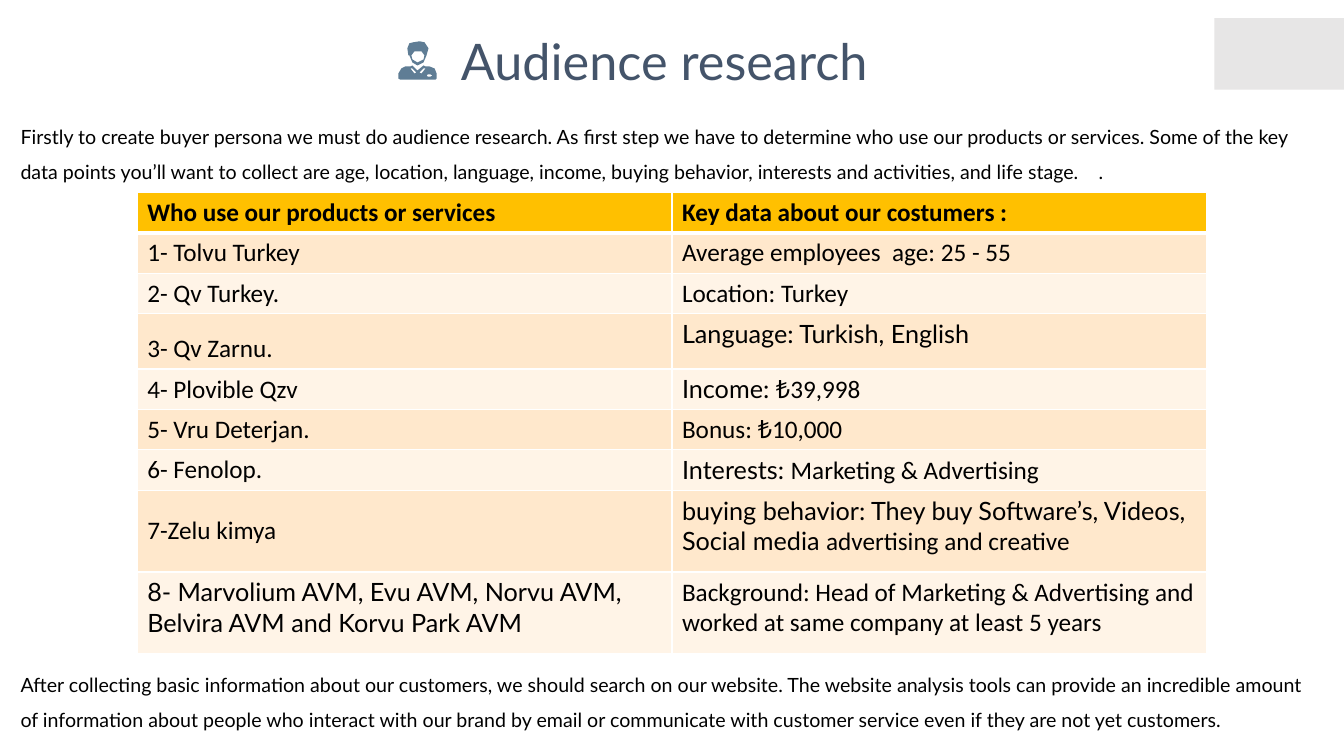
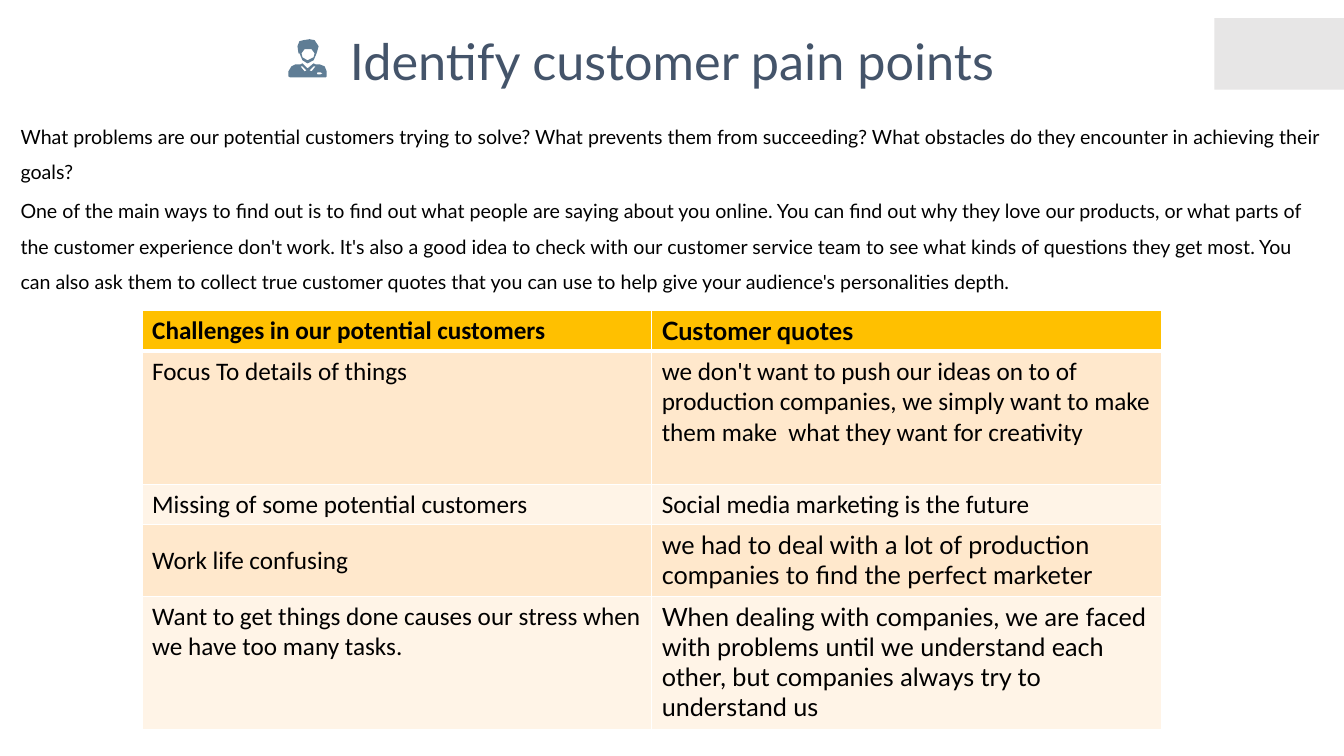
from typing import NamedTuple

from lxml import etree
from pptx import Presentation
from pptx import util as u
from pptx.dml.color import RGBColor
from pptx.enum import shapes, text
from pptx.oxml import ns

SLATE = RGBColor(0x44, 0x54, 0x6A)
STEEL = RGBColor(0x5F, 0x7D, 0x95)
GREY = RGBColor(0xE7, 0xE6, 0xE6)
BLACK = RGBColor(0x00, 0x00, 0x00)
GOLD = RGBColor(0xFF, 0xC0, 0x00)
PEACH = RGBColor(0xFF, 0xE8, 0xCC)
CREAM = RGBColor(0xFF, 0xF4, 0xE7)
BORDER = "FFFFFF"

LATO = "Lato"
CALIBRI = "Calibri"

HEAD_OUTLINES = [
    [(21, 0), (15, 1), (11, 2), (9, 7), (10, 14), (11, 14), (14, 21), (19, 24),
     (25, 21), (28, 14), (30, 7), (26, 1)],
    [(23, 10), (26, 14), (25, 18), (19, 21), (14, 18), (13, 14), (16, 10)],
]
BODY_OUTLINES = [
    [(14, 24), (12, 25), (7, 25), (3, 27), (0, 32), (0, 37), (2, 38), (37, 38),
     (38, 37), (38, 32), (36, 27), (31, 25), (27, 25), (25, 24), (19, 29)],
    [(14, 27), (18, 31), (16, 32), (12, 27)],
    [(25, 27), (27, 27), (23, 32), (21, 31)],
    [(29, 33), (32, 33), (34, 34), (32, 35), (29, 35), (28, 34)],
]


class Cell(NamedTuple):
    """Text runs of one table cell, each a pair of text and font."""
    runs: list
    spacing: float = 1.0
    anchor: text.MSO_ANCHOR = text.MSO_ANCHOR.TOP


def calibri(words, **layout):
    """Return a cell set in Calibri."""
    return Cell([(words, CALIBRI)], **layout)


def lato(words, **layout):
    """Return a cell set in Lato."""
    return Cell([(words, LATO)], **layout)


def add_run(paragraph, words, font, size, color, bold=False):
    """Add one formatted run to a paragraph."""
    run = paragraph.add_run()
    run.text = words
    run.font.name = font
    run.font.size = u.Pt(size)
    run.font.bold = bold
    run.font.color.rgb = color


def add_text_box(slide, box, inset_x, inset_y, wrap):
    """Add an empty text box and return its text frame."""
    shape = slide.shapes.add_textbox(*map(u.Pt, box))
    frame = shape.text_frame
    frame.margin_left = frame.margin_right = u.Pt(inset_x)
    frame.margin_top = frame.margin_bottom = u.Pt(inset_y)
    frame.word_wrap = wrap
    frame.auto_size = text.MSO_AUTO_SIZE.SHAPE_TO_FIT_TEXT
    return frame


def add_corner_block(slide):
    """Place the grey block at the top right edge."""
    block = slide.shapes.add_shape(
        shapes.MSO_SHAPE.RECTANGLE, *map(u.Pt, (867.5, 13, 92.5, 51)))
    block.shadow.inherit = False
    block.fill.solid()
    block.fill.fore_color.rgb = GREY
    block.line.fill.background()


def add_title(slide, words, left, width):
    """Place the centred slide title."""
    frame = add_text_box(slide, (left, 20, width, 47.5), 3.6, 1.4, False)
    paragraph = frame.paragraphs[0]
    paragraph.alignment = text.PP_ALIGN.CENTER
    add_run(paragraph, words, LATO, 36, SLATE)


def add_person_icon(slide, left, top):
    """Draw the person icon from its upper left corner."""
    group = slide.shapes.add_group_shape()
    for outlines in (HEAD_OUTLINES, BODY_OUTLINES):
        builder = group.shapes.build_freeform(*outlines[0][0], scale=u.Pt(0.72))
        builder.add_line_segments(outlines[0][1:])
        for outline in outlines[1:]:
            builder.move_to(*outline[0])
            builder.add_line_segments(outline[1:])
        shape = builder.convert_to_shape(u.Pt(left), u.Pt(top))
        shape.shadow.inherit = False
        shape.fill.solid()
        shape.fill.fore_color.rgb = STEEL
        shape.line.fill.background()


def add_body_text(slide, paragraphs, top, height, tab_stop=None):
    """Place full-width running text."""
    frame = add_text_box(slide, (6, top, 948, height), 8.64, 4.32, True)
    for index, words in enumerate(paragraphs):
        paragraph = frame.add_paragraph() if index else frame.paragraphs[0]
        paragraph.line_spacing = 1.5
        if index:
            paragraph.space_before = u.Pt(2.8)
        if tab_stop:
            properties = paragraph._p.get_or_add_pPr()
            tabs = etree.SubElement(properties, ns.qn("a:tabLst"))
            etree.SubElement(tabs, ns.qn("a:tab"),
                             pos=str(u.Pt(tab_stop)), algn="l")
        add_run(paragraph, words, LATO, 14, BLACK)


def set_borders(cell, top, bottom):
    """Give a cell white borders of the given widths."""
    properties = cell._tc.get_or_add_tcPr()
    for tag, width in (("lnL", 1), ("lnR", 1), ("lnT", top), ("lnB", bottom)):
        line = etree.SubElement(properties, ns.qn(f"a:{tag}"), w=str(u.Pt(width)))
        fill = etree.SubElement(line, ns.qn("a:solidFill"))
        etree.SubElement(fill, ns.qn("a:srgbClr"), val=BORDER)


def add_banded_table(slide, left, top, width, heights, rows):
    """Place a two-column table with a gold header and banded rows."""
    frame = slide.shapes.add_table(
        len(rows), 2, *map(u.Pt, (left, top, width, sum(heights))))
    table = frame.table
    for column in table.columns:
        column.width = u.Pt(width / 2)
    for row_index, (height, row) in enumerate(zip(heights, rows)):
        header = row_index == 0
        table.rows[row_index].height = u.Pt(height)
        for column_index, content in enumerate(row):
            cell = table.cell(row_index, column_index)
            set_borders(cell, 3 if row_index == 1 else 1, 3 if header else 1)
            cell.fill.solid()
            cell.fill.fore_color.rgb = (
                GOLD if header else PEACH if row_index % 2 else CREAM)
            cell.vertical_anchor = content.anchor
            paragraph = cell.text_frame.paragraphs[0]
            paragraph.line_spacing = content.spacing
            for words, font in content.runs:
                add_run(paragraph, words, font, 18, BLACK, header)


def build_audience_slide(slide):
    """Build the audience research slide."""
    add_corner_block(slide)
    add_body_text(slide, [
        "Firstly to create buyer persona we must do audience research. As first "
        "step we have to determine who use our products or services. Some of the "
        "key data points you’ll want to collect are age, location, language, "
        "income, buying behavior, interests and activities, and life stage.\t."],
        76.5, 56, tab_stop=770)
    add_title(slide, "Audience research", 308.5, 332)
    add_person_icon(slide, 284.5, 29.5)
    rows = [
        (calibri("Who use our products or services"),
         calibri("Key data about our costumers :")),
        (calibri("1- Tolvu Turkey"), calibri("Average employees  age: 25 - 55")),
        (calibri("2- Qv Turkey."), calibri("Location: Turkey")),
        (calibri("3- Qv Zarnu.", spacing=1.5), lato("Language: Turkish, English")),
        (calibri("4- Plovible Qzv"),
         Cell([("Income: ", LATO), ("₺39,998", CALIBRI)])),
        (calibri("5- Vru Deterjan."), calibri("Bonus: ₺10,000")),
        (calibri("6- Fenolop."),
         Cell([("Interests: ", LATO), ("Marketing & Advertising", CALIBRI)])),
        (calibri("7-Zelu kimya", anchor=text.MSO_ANCHOR.MIDDLE),
         Cell([("buying behavior: They buy Software’s, Videos, Social media ", LATO),
               ("advertising and creative", CALIBRI)])),
        (lato("8- Marvolium AVM, Evu AVM, Norvu AVM, Belvira AVM and Korvu Park AVM"),
         calibri("Background: Head of Marketing & Advertising and worked at same "
                 "company at least 5 years")),
    ]
    add_banded_table(slide, 98, 137.5, 764,
                     [28.8, 28.8, 28.8, 39, 28.8, 28.8, 28.8, 58.5, 58.5], rows)
    add_body_text(slide, [
        "After collecting basic information about our customers, we should search "
        "on our website. The website analysis tools can provide an incredible "
        "amount of information about people who interact with our brand by email "
        "or communicate with customer service even if they are not yet customers."],
        468, 56)


def build_pain_points_slide(slide):
    """Build the customer pain points slide."""
    add_corner_block(slide)
    add_body_text(slide, [
        "What problems are our potential customers trying to solve? What prevents "
        "them from succeeding? What obstacles do they encounter in achieving their "
        "goals?",
        "One of the main ways to find out is to find out what people are saying "
        "about you online. You can find out why they love our products, or what "
        "parts of the customer experience don't work. It's also a good idea to "
        "check with our customer service team to see what kinds of questions they "
        "get most. You can also ask them to collect true customer quotes that you "
        "can use to help give your audience's personalities depth."],
        76.5, 136)
    add_title(slide, "Identify customer pain points", 234, 492)
    add_person_icon(slide, 206, 28)
    rows = [
        (calibri("Challenges in our potential customers"), lato("Customer quotes")),
        (calibri("Focus To details of things"),
         calibri("we don't want to push our ideas on to of production companies, we "
                 "simply want to make them make  what they want for creativity")),
        (calibri("Missing of some potential customers"),
         calibri("Social media marketing is the future")),
        (calibri("Work life confusing", spacing=1.5),
         lato("we had to deal with a lot of production companies to find the "
              "perfect marketer")),
        (calibri("Want to get things done causes our stress when we have too many "
                 "tasks."),
         lato("When dealing with companies, we are faced with problems until we "
              "understand each other, but companies always try to understand us")),
    ]
    add_banded_table(slide, 101.5, 222, 728, [28, 95, 29, 51, 95], rows)


def main():
    """Build and save the presentation."""
    presentation = Presentation()
    presentation.slide_width = u.Pt(960)
    presentation.slide_height = u.Pt(540)
    for build_slide in (build_audience_slide, build_pain_points_slide):
        build_slide(presentation.slides.add_slide(presentation.slide_layouts[6]))
    presentation.save("out.pptx")


if __name__ == "__main__":
    main()
